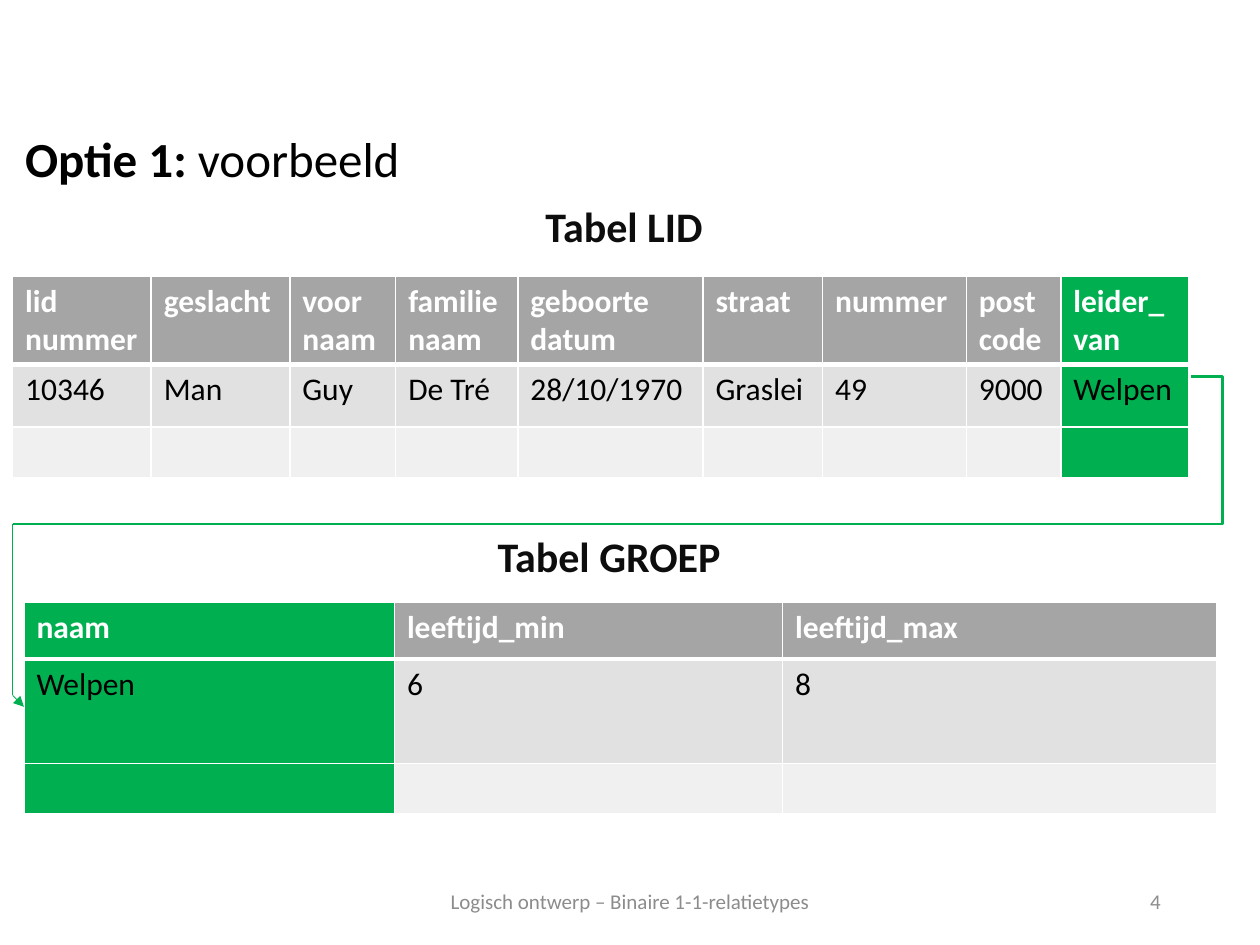
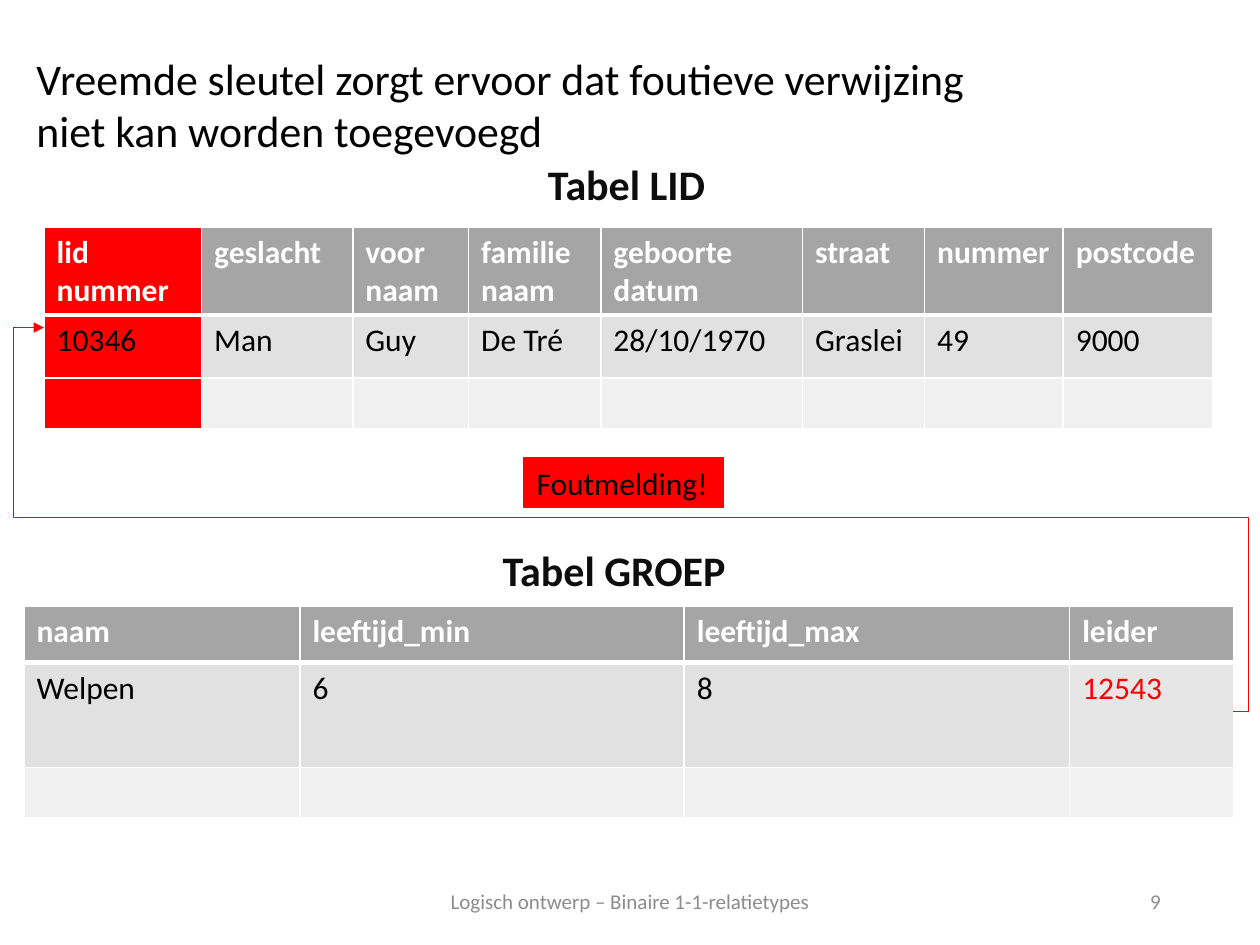
from lxml import etree
from pptx import Presentation
from pptx.dml.color import RGBColor
from pptx.enum.shapes import MSO_CONNECTOR as Connector, MSO_SHAPE as Shape
from pptx.enum.text import MSO_ANCHOR as Anchor, PP_ALIGN as Align
from pptx.oxml.ns import qn
from pptx.util import Pt

# Shared look
FONT = "Calibri"
BLACK = RGBColor(0x00, 0x00, 0x00)
WHITE = RGBColor(0xFF, 0xFF, 0xFF)
CAPTION_INK = RGBColor(0x0D, 0x0D, 0x0D)
FOOTER_INK = RGBColor(0x8C, 0x8C, 0x8C)
GREEN = RGBColor(0x00, 0xB0, 0x50)
RED = RGBColor(0xFF, 0x00, 0x00)
GREY_ROWS = (RGBColor(0xA5, 0xA5, 0xA5), RGBColor(0xE1, 0xE1, 0xE1),
             RGBColor(0xF0, 0xF0, 0xF0))
LEADER_ROWS = (RGBColor(0xA6, 0xA6, 0xA6), RGBColor(0xE7, 0xE6, 0xE6),
               RGBColor(0xF2, 0xF2, 0xF2))
GREEN_ROWS = (GREEN,) * 3
RED_ROWS = (RED,) * 3

# Table contents shared by both slides
MEMBER_HEADS = ["lid\nnummer", "geslacht", "voor\nnaam", "familie\nnaam",
                "geboorte\ndatum", "straat", "nummer"]
MEMBER_VALUES = ["10346", "Man", "Guy", "De Tré", "28/10/1970", "Graslei",
                 "49", "9000"]
GROUP_HEADS = ["naam", "leeftijd_min", "leeftijd_max"]
GROUP_VALUES = ["Welpen", "6", "8"]
MEMBER_HEIGHTS = (50.4, 36, 28.8)
GROUP_HEIGHTS = (32.4, 59.8, 28.8)


def style_paragraph(paragraph, size, color, bold=False):
    font = paragraph.font
    font.name, font.size, font.bold = FONT, Pt(size), bold
    font.color.rgb = color


def add_text(slide, box, text, size, color, bold=False, align=Align.LEFT,
             anchor=Anchor.TOP):
    frame = slide.shapes.add_textbox(*map(Pt, box)).text_frame
    frame.word_wrap = True
    frame.vertical_anchor = anchor
    frame.text = text
    paragraph = frame.paragraphs[0]
    paragraph.alignment = align
    style_paragraph(paragraph, size, color, bold)
    return paragraph


def add_caption(slide, left, top, width, text):
    add_text(slide, (left, top, width, 36), text, 24, CAPTION_INK, bold=True)


def add_footer(slide, number):
    top, height = 500.4, 28.8
    add_text(slide, (508.3, top, 162, height), str(number), 12, FOOTER_INK,
             align=Align.RIGHT, anchor=Anchor.MIDDLE)
    add_text(slide, (203.8, top, 312.5, height),
             "Logisch ontwerp – Binaire 1-1-relatietypes", 12, FOOTER_INK,
             align=Align.CENTER, anchor=Anchor.MIDDLE)


def set_borders(cell, row):
    """White rules, thicker between the header and the first data row."""
    widths = {"lnL": 1, "lnR": 1, "lnT": 3 if row == 1 else 1,
              "lnB": 3 if row == 0 else 1}
    properties = cell._tc.get_or_add_tcPr()
    for side, width in widths.items():
        line = etree.SubElement(properties, qn(f"a:{side}"), w=str(Pt(width)))
        fill = etree.SubElement(line, qn("a:solidFill"))
        etree.SubElement(fill, qn("a:srgbClr"), val=str(WHITE))


def add_data_table(slide, left, top, widths, heights, heads, values,
                   column_fills, value_colors=None):
    """Header, one record and an empty row; some columns have own fills."""
    shape = slide.shapes.add_table(len(heights), len(widths), Pt(left), Pt(top),
                                   Pt(sum(widths)), Pt(sum(heights)))
    table = shape.table
    table.horz_banding = False
    for column, width in zip(table.columns, widths):
        column.width = Pt(width)
    for row, height in zip(table.rows, heights):
        row.height = Pt(height)
    for r, texts in enumerate((heads, values, [""] * len(heads))):
        for c, text in enumerate(texts):
            cell = table.cell(r, c)
            cell.text = text
            ink = WHITE if r == 0 else (value_colors or {}).get(c, BLACK)
            for paragraph in cell.text_frame.paragraphs:
                style_paragraph(paragraph, 18, ink, bold=r == 0)
            set_borders(cell, r)
            cell.fill.solid()
            cell.fill.fore_color.rgb = column_fills.get(c, GREY_ROWS)[r]


def add_line(slide, start, end, color, width, arrow=False, bends=()):
    """Straight line, or an elbow whose bends are fractions of its extent."""
    kind = Connector.ELBOW if bends else Connector.STRAIGHT
    line = slide.shapes.add_connector(kind, *map(Pt, start + end))
    line.line.color.rgb = color
    line.line.width = Pt(width)
    properties = line._element.spPr
    if bends:
        geometry = properties.find(qn("a:prstGeom"))
        geometry.set("prst", f"bentConnector{len(bends) + 2}")
        guides = geometry.find(qn("a:avLst"))
        for number, bend in enumerate(bends, 1):
            etree.SubElement(guides, qn("a:gd"), name=f"adj{number}",
                             fmla=f"val {round(bend * 100000)}")
    if arrow:
        etree.SubElement(line.line._get_or_add_ln(), qn("a:tailEnd"),
                         type="triangle")
    etree.SubElement(properties, qn("a:effectLst"))


def add_error_box(slide, left, top, width, height):
    shape = slide.shapes.add_shape(Shape.RECTANGLE, Pt(left), Pt(top),
                                   Pt(width), Pt(height))
    shape.shadow.inherit = False
    shape.fill.solid()
    shape.fill.fore_color.rgb = RED
    shape.line.color.rgb = RED
    shape.line.width = Pt(0.75)
    frame = shape.text_frame
    frame.word_wrap = False
    frame.vertical_anchor = Anchor.TOP
    frame.text = "Foutmelding!"
    frame.paragraphs[0].alignment = Align.LEFT
    style_paragraph(frame.paragraphs[0], 18, BLACK)


def build_example_slide(slide):
    # Title with a bold lead
    title = add_text(slide, (7.2, 69.8, 548.6, 41), "Optie 1: ", 28, BLACK)
    title.runs[0].font.bold = True
    title.add_run().text = "voorbeeld"

    # Tables: the member points to the group it leads
    add_caption(slide, 304.6, 110.9, 106.6, "Tabel LID")
    add_data_table(slide, 7.2, 157.7,
                   (79.2, 79.2, 60.5, 69.8, 105.8, 68.4, 82.1, 54, 73.4),
                   MEMBER_HEIGHTS, MEMBER_HEADS + ["post\ncode", "leider_van"],
                   MEMBER_VALUES + ["Welpen"], {8: GREEN_ROWS})
    add_caption(slide, 277.2, 299.5, 159.1, "Tabel GROEP")
    add_data_table(slide, 13.7, 344.2, (211.7, 221.8, 248.4), GROUP_HEIGHTS,
                   GROUP_HEADS, GROUP_VALUES, {0: GREEN_ROWS})

    # Reference from leider_van to naam
    corner, foot = (7.2, 299.5), (7.2, 397.4)
    add_line(slide, (680.4, 215.3), corner, GREEN, 1.5, bends=(-0.027,))
    add_line(slide, corner, foot, GREEN, 0.5)
    add_line(slide, foot, (13.7, 403.9), GREEN, 0.5, arrow=True)
    add_footer(slide, 4)


def build_error_slide(slide):
    add_text(slide, (13.7, 25.9, 548.6, 67.7),
             "Vreemde sleutel zorgt ervoor dat foutieve verwijzing "
             "niet kan worden toegevoegd", 25, BLACK)

    # Tables: the group points to a member that does not exist
    add_caption(slide, 306, 87.1, 106.6, "Tabel LID")
    add_data_table(slide, 25.2, 129.6,
                   (90, 86.4, 66.2, 75.6, 115.2, 69.8, 79.2, 85.7),
                   MEMBER_HEIGHTS, MEMBER_HEADS + ["postcode"], MEMBER_VALUES,
                   {0: RED_ROWS})
    add_caption(slide, 280.1, 307.4, 159.1, "Tabel GROEP")
    add_data_table(slide, 13.7, 346.3, (157.7, 219.6, 220.3, 93.6),
                   GROUP_HEIGHTS, GROUP_HEADS + ["leider"],
                   GROUP_VALUES + ["12543"], {3: LEADER_ROWS}, {3: RED})

    # Failing reference from leider to lidnummer
    add_line(slide, (704.9, 406.8), (25.2, 187.2), RED, 0.5, arrow=True,
             bends=(-0.013, 0.506, 1.026))
    add_footer(slide, 9)
    add_error_box(slide, 299.5, 261.4, 113.8, 28.8)


def main():
    presentation = Presentation()
    presentation.slide_width, presentation.slide_height = Pt(720), Pt(540)
    blank = presentation.slide_layouts[6]
    for build in (build_example_slide, build_error_slide):
        build(presentation.slides.add_slide(blank))
    presentation.save("out.pptx")


if __name__ == "__main__":
    main()
